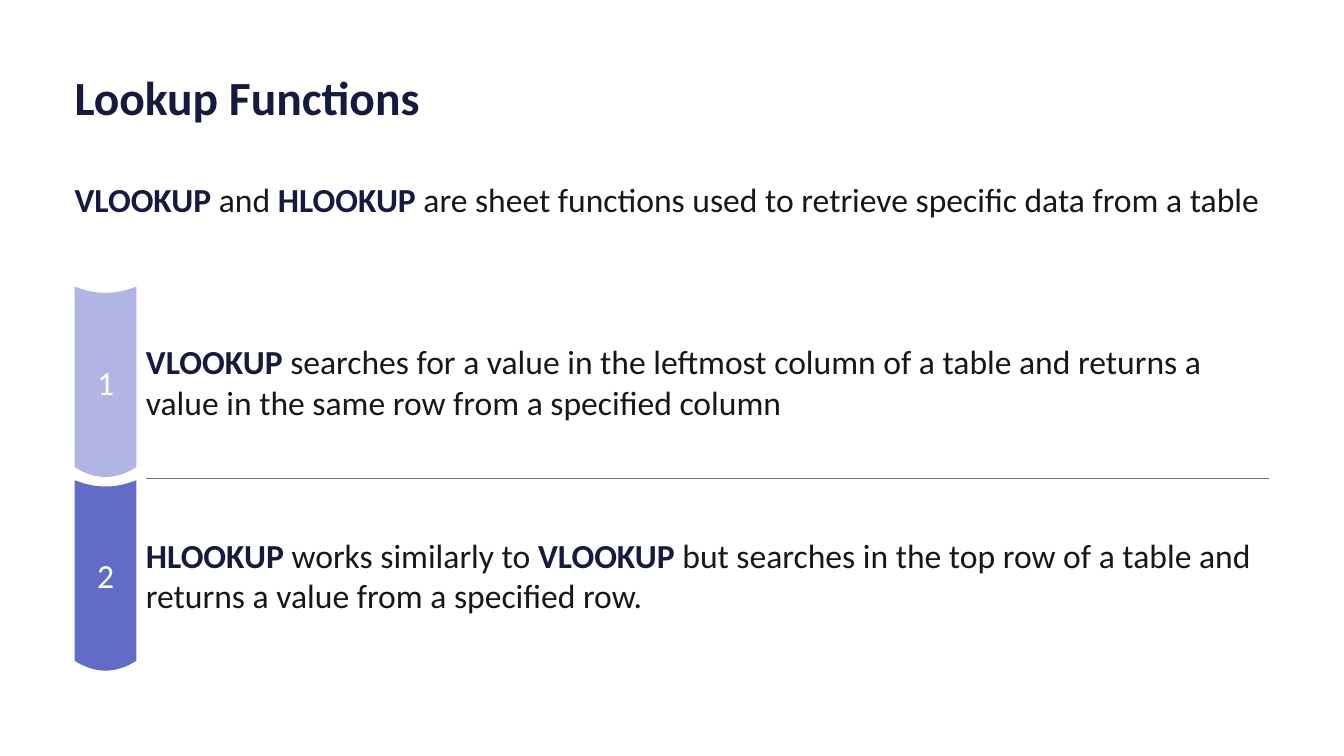
from lxml import etree
from pptx import Presentation
from pptx.dml.color import RGBColor
from pptx.enum.shapes import MSO_CONNECTOR
from pptx.enum.text import MSO_ANCHOR, PP_ALIGN
from pptx.oxml.ns import qn
from pptx.util import Cm, Pt

STRAIGHT = MSO_CONNECTOR.STRAIGHT
TOP = MSO_ANCHOR.TOP
MIDDLE = MSO_ANCHOR.MIDDLE
CENTER = PP_ALIGN.CENTER

NAVY = RGBColor(0x16, 0x1A, 0x3E)
INK = RGBColor(0x18, 0x17, 0x17)
LAVENDER = RGBColor(0xB0, 0xB5, 0xE3)
INDIGO = RGBColor(0x62, 0x6C, 0xC7)
GRAY = RGBColor(0x76, 0x71, 0x71)
WHITE = RGBColor(0xFF, 0xFF, 0xFF)

FONT = "Calibri"
BODY_SIZE = 24
LEFT = Cm(1.88)
WIDTH = Cm(30.1)
CURVE_STEPS = 24

INTRO = [
    ("VLOOKUP", True),
    (" and ", False),
    ("HLOOKUP", True),
    (" are sheet functions used to retrieve specific data from a table", False),
]
STEPS = [
    (LAVENDER, [
        ("VLOOKUP ", True),
        ("searches for a value in the leftmost column of a table and returns "
         "a value in the same row from a specified column", False),
    ]),
    (INDIGO, [
        ("HLOOKUP", True),
        (" works similarly to ", False),
        ("VLOOKUP", True),
        (" but searches in the top row of a table and returns a value from "
         "a specified row.", False),
    ]),
]


def prepare_frame(shape, anchor):
    frame = shape.text_frame
    frame.word_wrap = True
    frame.vertical_anchor = anchor
    frame.margin_left = frame.margin_right = 0
    frame.margin_top = frame.margin_bottom = 0
    return frame.paragraphs[0]


def add_run(paragraph, text, size, color, bold=False):
    run = paragraph.add_run()
    run.text = text
    run.font.name = FONT
    run.font.size = Pt(size)
    run.font.bold = bold
    run.font.color.rgb = color


def add_text(slide, left, top, width, height, runs, anchor=MIDDLE,
             size=BODY_SIZE, line_spacing=1.0):
    box = slide.shapes.add_textbox(left, top, width, height)
    paragraph = prepare_frame(box, anchor)
    paragraph.line_spacing = line_spacing
    for text, strong in runs:
        add_run(paragraph, text, size, NAVY if strong else INK, strong)


def add_marker(slide, left, top, width, height, number, color):
    notch, bulge = Cm(0.16), Cm(0.25)
    positions = [index / CURVE_STEPS for index in range(CURVE_STEPS + 1)]

    def curve(edge, depth):
        return [(round(left + width * position),
                 round(edge + depth * (1 - (2 * position - 1) ** 2)))
                for position in positions]

    upper = curve(top, notch)
    lower = curve(top + height - bulge, bulge)
    builder = slide.shapes.build_freeform(*upper[0])
    builder.add_line_segments(upper[1:] + lower[::-1], close=True)
    marker = builder.convert_to_shape()
    marker.shadow.inherit = False
    marker.fill.solid()
    marker.fill.fore_color.rgb = color
    marker.line.fill.background()
    paragraph = prepare_frame(marker, MIDDLE)
    paragraph.alignment = CENTER
    add_run(paragraph, str(number), BODY_SIZE, WHITE)


def add_divider(slide, left, top, width):
    divider = slide.shapes.add_connector(STRAIGHT, left, top, left + width, top)
    divider.line.color.rgb = GRAY
    divider.line.width = Pt(0.5)
    etree.SubElement(divider._element.spPr, qn("a:effectLst"))


def add_steps(slide, left, top, width):
    pitch, marker_width, marker_height = Cm(4.88), Cm(1.56), Cm(4.8)
    text_offset, text_inset, text_height = Cm(1.8), Cm(0.17), Cm(4.45)
    text_left, text_width = left + text_offset, width - text_offset
    for index, (color, runs) in enumerate(STEPS):
        step_top = top + index * pitch
        add_marker(slide, left, step_top, marker_width, marker_height,
                   index + 1, color)
        add_text(slide, text_left, step_top + text_inset, text_width,
                 text_height, runs)
        if index:
            add_divider(slide, text_left, step_top - Cm(0.04), text_width)


def build_lookup_slide(presentation):
    slide = presentation.slides.add_slide(presentation.slide_layouts[6])
    add_text(slide, LEFT, Cm(1.68), WIDTH, Cm(1.7),
             [("Lookup Functions", True)], size=34, line_spacing=0.9)
    add_text(slide, LEFT, Cm(4.62), WIDTH, Cm(1.2), INTRO, TOP,
             line_spacing=0.9)
    add_steps(slide, LEFT, Cm(7.22), WIDTH)


def main():
    presentation = Presentation()
    presentation.slide_width = Cm(33.87)
    presentation.slide_height = Cm(19.05)
    build_lookup_slide(presentation)
    presentation.save("out.pptx")


if __name__ == "__main__":
    main()
